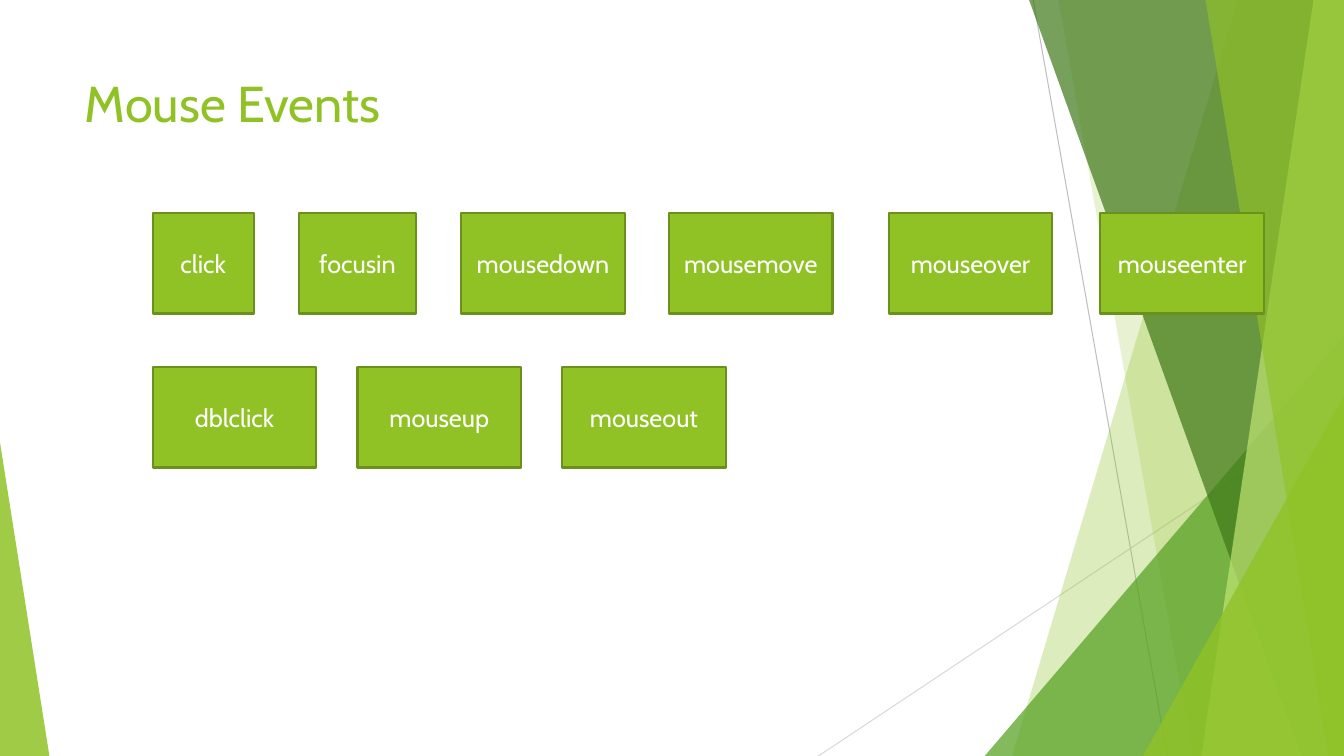
from dataclasses import dataclass

from lxml import etree
from pptx import Presentation
from pptx.dml.color import RGBColor
from pptx.enum.shapes import MSO_CONNECTOR, MSO_SHAPE
from pptx.enum.text import MSO_ANCHOR, PP_ALIGN
from pptx.oxml.ns import qn
from pptx.util import Pt

STRAIGHT = MSO_CONNECTOR.STRAIGHT
RECTANGLE = MSO_SHAPE.RECTANGLE
TRIANGLE = MSO_SHAPE.ISOSCELES_TRIANGLE
TOP, MIDDLE = MSO_ANCHOR.TOP, MSO_ANCHOR.MIDDLE
LEFT, CENTER = PP_ALIGN.LEFT, PP_ALIGN.CENTER
TITLE_ONLY = 5
WIDTH, HEIGHT = 960, 540


@dataclass(frozen=True)
class Theme:
    font: str = "Cabin"
    title_size: int = 36
    label_size: int = 18
    green: str = "90C226"
    outline: str = "6B901C"
    leaf: str = "54A021"
    forest: str = "3F7819"
    lime: str = "C0E474"
    white: str = "FFFFFF"
    gray: str = "BFBFBF"
    pale_gray: str = "D9D9D9"


THEME = Theme()

# Event name, left edge and width
FIRST_ROW = [
    ("click", 0, 72), ("focusin", 104.4, 83.5), ("mousedown", 220.3, 116.8),
    ("mousemove", 368.7, 116.8), ("mouseover", 525.6, 116.8),
    ("mouseenter", 676.8, 116.8),
]
SECOND_ROW = [(name, column * 146.2, 116.8)
              for column, name in enumerate(("dblclick", "mouseup", "mouseout"))]


def write_text(shape, text, *, size, color, align=LEFT, anchor=TOP):
    frame = shape.text_frame
    frame.word_wrap = True
    frame.vertical_anchor = anchor
    para = frame.paragraphs[0]
    para.alignment = align
    span = para.add_run()
    span.text = text
    span.font.name = THEME.font
    span.font.size = Pt(size)
    span.font.color.rgb = RGBColor.from_string(color)


def paint(shape, color, opacity=100, outline=None):
    """Give a shape a flat fill, opacity in percent and an optional outline."""
    shape.shadow.inherit = False
    shape.fill.solid()
    shape.fill.fore_color.rgb = RGBColor.from_string(color)
    if opacity < 100:
        fill_color = shape.fill._xPr.find(qn("a:solidFill"))[0]
        etree.SubElement(fill_color, qn("a:alpha"), val=str(opacity * 1000))
    if outline:
        shape.line.color.rgb = RGBColor.from_string(outline)
        shape.line.width = Pt(1.5)
    else:
        shape.line.fill.background()


def add_ray(group, start, end, color):
    ray = group.shapes.add_connector(STRAIGHT, *map(Pt, start + end))
    ray.line.color.rgb = RGBColor.from_string(color)
    ray.line.width = Pt(0.75)
    etree.SubElement(ray._element.spPr, qn("a:effectLst"))


def add_band(group, top_left, bottom_left, color, opacity):
    """Fill from a slanted left edge to the right edge of the page."""
    outline = group.shapes.build_freeform(Pt(top_left), 0)
    corners = [(WIDTH, 0), (WIDTH, HEIGHT), (bottom_left, HEIGHT)]
    outline.add_line_segments([(Pt(x), Pt(y)) for x, y in corners])
    paint(outline.convert_to_shape(), color, opacity)


def add_wedge(group, left, top, width, apex, color, opacity):
    """Stand a triangle on the bottom edge, its apex at 0 (left) to 1 (right)."""
    wedge = group.shapes.add_shape(
        TRIANGLE, Pt(left), Pt(top), Pt(width), Pt(HEIGHT - top))
    wedge.adjustments[0] = apex
    paint(wedge, color, opacity)


def add_backdrop(page):
    group = page.shapes.add_group_shape()
    add_ray(group, (738, 0), (833.8, HEIGHT), THEME.gray)
    add_ray(group, (WIDTH, 290.2), (584.6, HEIGHT), THEME.pale_gray)
    add_band(group, 884.2, 722.9, THEME.green, 30)
    add_band(group, 756, 851.8, THEME.green, 20)
    add_wedge(group, 703.4, 239.8, 256.6, 1, THEME.leaf, 72)
    add_band(group, 735.1, 929.5, THEME.forest, 70)
    add_band(group, 938.2, 858.2, THEME.lime, 70)
    add_band(group, 861.1, 949, THEME.green, 65)
    add_wedge(group, 816.5, 283, 143.5, 1, THEME.green, 80)
    add_wedge(group, 0, 316.1, 35.3, 0, THEME.green, 85)


def add_title(page, text, left, top, width, height):
    title = page.shapes.title
    title.left, title.top = Pt(left), Pt(top)
    title.width, title.height = Pt(width), Pt(height)
    write_text(title, text, size=THEME.title_size, color=THEME.green)


def add_event_row(page, events, left, top, height):
    for name, offset, width in events:
        box = page.shapes.add_shape(
            RECTANGLE, Pt(left + offset), Pt(top), Pt(width), Pt(height))
        paint(box, THEME.green, outline=THEME.outline)
        write_text(box, name, size=THEME.label_size, color=THEME.white,
                   align=CENTER, anchor=MIDDLE)


def build_events_page(deck):
    page = deck.slides.add_slide(deck.slide_layouts[TITLE_ONLY])
    add_backdrop(page)
    add_title(page, "Mouse Events", 53.3, 48.2, 676.8, 65.5)
    add_event_row(page, FIRST_ROW, 109.2, 152, 72)
    add_event_row(page, SECOND_ROW, 109.2, 262, 72)


def main():
    deck = Presentation()
    deck.slide_width, deck.slide_height = Pt(WIDTH), Pt(HEIGHT)
    build_events_page(deck)
    deck.save("out.pptx")


if __name__ == "__main__":
    main()
